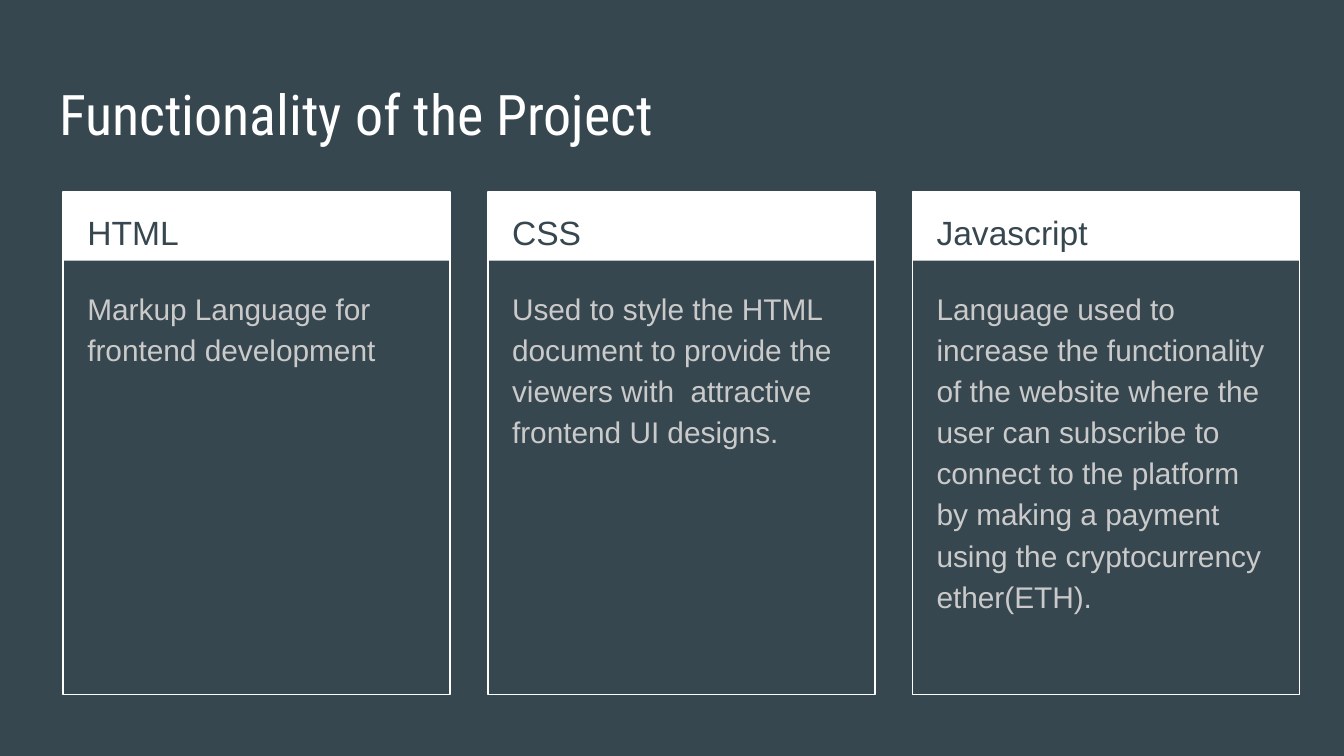
from dataclasses import dataclass

from lxml.etree import SubElement
from pptx import Presentation
from pptx.dml.color import RGBColor
from pptx.enum.shapes import MSO_SHAPE
from pptx.enum.text import MSO_ANCHOR, MSO_AUTO_SIZE, PP_ALIGN
from pptx.oxml.ns import qn
from pptx.util import Inches, Pt

SLATE = RGBColor(0x37, 0x47, 0x4F)
WHITE = RGBColor(0xFF, 0xFF, 0xFF)
LIGHT_GRAY = RGBColor(0xCA, 0xCA, 0xCA)

SLIDE_WIDTH = Inches(10)
SLIDE_HEIGHT = SLIDE_WIDTH * 9 // 16
COLUMN_LEFT = 0.47
COLUMN_PITCH = 3.16
COLUMN_WIDTH = 2.88
CARD_TOP = 1.43
CARD_HEIGHT = 3.74
HEADER_HEIGHT = 0.51
TEXT_INSET = 0.08


@dataclass(frozen=True)
class Card:
    heading: str
    description: str


@dataclass(frozen=True)
class TextStyle:
    font: str
    size: int
    color: RGBColor
    line_spacing: float = 1.15
    space_after: int = 0


TITLE = TextStyle("Roboto Condensed", 30, WHITE, line_spacing=1.0)
HEADING = TextStyle("Arial", 18, SLATE)
DESCRIPTION = TextStyle("Arial", 16, LIGHT_GRAY, space_after=16)

CARDS = [
    Card("HTML", "Markup Language for frontend development"),
    Card(
        "CSS",
        "Used to style the HTML document to provide the viewers with  attractive "
        "frontend UI designs.",
    ),
    Card(
        "Javascript",
        "Language used to increase the functionality of the website where the user "
        "can subscribe to connect to the platform by making a payment using the "
        "cryptocurrency ether(ETH).",
    ),
]


def write_text(shape, text: str, style: TextStyle, left: float, top: float,
               width: float, height: float) -> None:
    shape.left, shape.top = Inches(left), Inches(top)
    shape.width, shape.height = Inches(width), Inches(height)
    shape._element.getparent().append(shape._element)
    frame = shape.text_frame
    frame.word_wrap = True
    frame.auto_size = MSO_AUTO_SIZE.NONE
    frame.vertical_anchor = MSO_ANCHOR.TOP
    frame.margin_left = frame.margin_right = Inches(0.1)
    frame.margin_top = frame.margin_bottom = Inches(0.1)
    paragraph = frame.paragraphs[0]
    paragraph.alignment = PP_ALIGN.LEFT
    paragraph.line_spacing = style.line_spacing
    paragraph.space_before = Pt(0)
    paragraph.space_after = Pt(style.space_after)
    properties = paragraph._p.get_or_add_pPr()
    properties.set("marL", "0")
    properties.set("indent", "0")
    SubElement(properties, qn("a:buNone"))
    run = paragraph.add_run()
    run.text = text
    run.font.name = style.font
    run.font.size = Pt(style.size)
    run.font.bold = False
    run.font.color.rgb = style.color


def draw_frame(slide, left: float) -> None:
    group = slide.shapes.add_group_shape()
    header, outline = [
        group.shapes.add_shape(
            MSO_SHAPE.RECTANGLE, Inches(left), Inches(CARD_TOP),
            Inches(COLUMN_WIDTH), Inches(height),
        )
        for height in (HEADER_HEIGHT, CARD_HEIGHT)
    ]
    header.shadow.inherit = outline.shadow.inherit = False
    header.fill.solid()
    header.fill.fore_color.rgb = WHITE
    header.line.fill.background()
    outline.fill.background()
    outline.line.color.rgb = WHITE
    outline.line.width = Pt(0.75)


def next_text_shape(slide, placeholders: list):
    if placeholders:
        return placeholders.pop(0)
    return slide.shapes.add_textbox(0, 0, 0, 0)


def draw_card(slide, card: Card, column: int, placeholders: list) -> None:
    left = COLUMN_LEFT + column * COLUMN_PITCH
    draw_frame(slide, left)
    write_text(next_text_shape(slide, placeholders), card.heading, HEADING,
               left + TEXT_INSET, CARD_TOP, 2.73, 0.5)
    write_text(next_text_shape(slide, placeholders), card.description, DESCRIPTION,
               left + TEXT_INSET, 2.02, 2.71, 3.06)


def build_presentation() -> None:
    presentation = Presentation()
    presentation.slide_width = SLIDE_WIDTH
    presentation.slide_height = SLIDE_HEIGHT
    comparison_layout = presentation.slide_layouts.get_by_name("Comparison")
    slide = presentation.slides.add_slide(comparison_layout)
    slide.background.fill.solid()
    slide.background.fill.fore_color.rgb = SLATE
    title, *placeholders = list(slide.placeholders)
    write_text(title, "Functionality of the Project", TITLE, 0.34, 0.49, 9.32, 0.63)
    for column, card in enumerate(CARDS):
        draw_card(slide, card, column, placeholders)
    presentation.save("out.pptx")


build_presentation()
